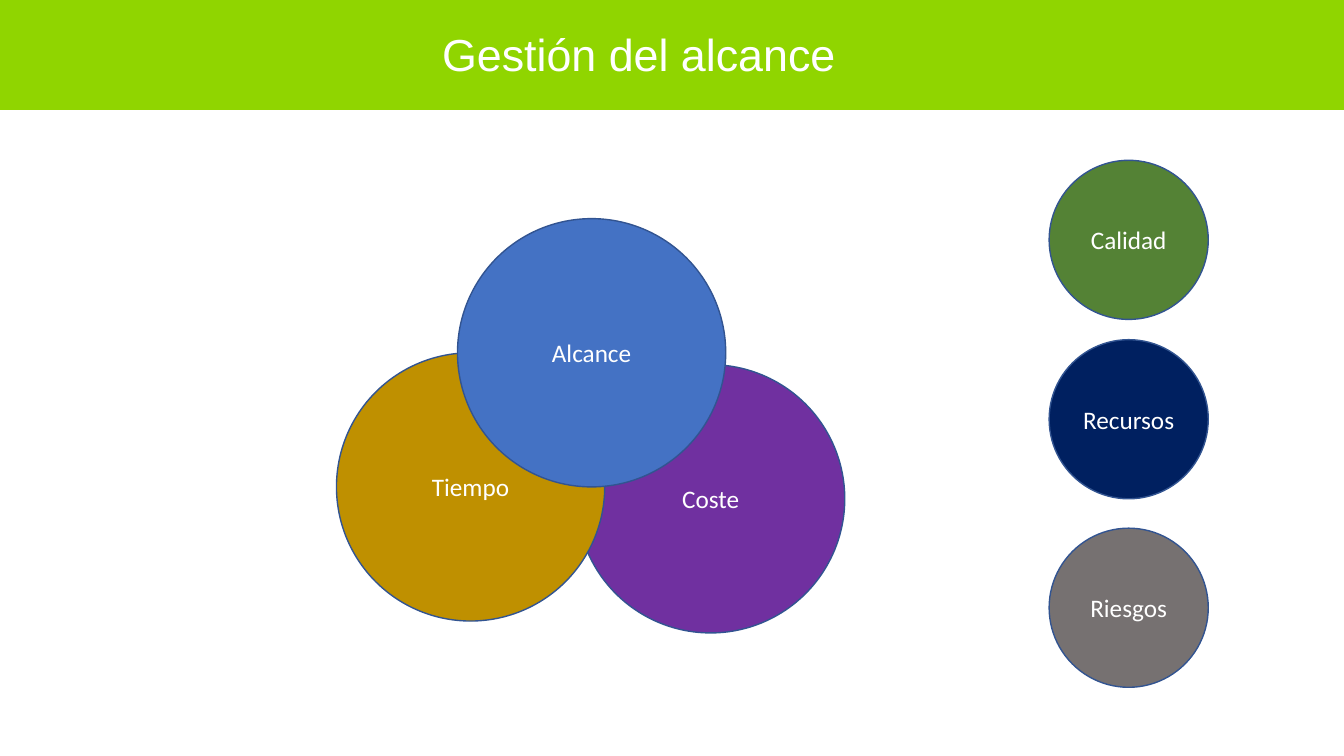
import pptx
import pptx.util
import pptx.dml.color
import pptx.enum.shapes
import pptx.enum.text

Cm = pptx.util.Cm
Pt = pptx.util.Pt
RGBColor = pptx.dml.color.RGBColor
MSO_SHAPE = pptx.enum.shapes.MSO_SHAPE
PP_ALIGN = pptx.enum.text.PP_ALIGN
MSO_ANCHOR = pptx.enum.text.MSO_ANCHOR

WHITE = RGBColor(0xFF, 0xFF, 0xFF)
LIME = RGBColor(0x90, 0xD5, 0x00)
OUTLINE = RGBColor(0x32, 0x54, 0x91)
PURPLE = RGBColor(0x70, 0x30, 0xA0)
GOLD = RGBColor(0xBF, 0x90, 0x00)
BLUE = RGBColor(0x44, 0x72, 0xC4)
GREEN = RGBColor(0x54, 0x82, 0x35)
GREY = RGBColor(0x76, 0x71, 0x71)
NAVY = RGBColor(0x00, 0x20, 0x60)

SLIDE_W, SLIDE_H = 33.87, 19.05
LARGE, SMALL = 6.76, 4.01
SIDE_LEFT = 26.44

CIRCLES = [
    ("Coste", 14.53, 9.19, LARGE, PURPLE),
    ("Tiempo", 8.48, 8.89, LARGE, GOLD),
    ("Alcance", 11.53, 5.51, LARGE, BLUE),
    ("Calidad", SIDE_LEFT, 4.04, SMALL, GREEN),
    ("Riesgos", SIDE_LEFT, 13.31, SMALL, GREY),
    ("Recursos", SIDE_LEFT, 8.56, SMALL, NAVY),
]


class Deck:
    title_font, title_size = "Arial", 32
    label_font, label_size = "Calibri", 18

    def __init__(self):
        self.prs = pptx.Presentation()
        self.prs.slide_width = Cm(SLIDE_W)
        self.prs.slide_height = Cm(SLIDE_H)
        self.s = self.prs.slides.add_slide(self.prs.slide_layouts[6])

    def shape(self, kind, x, y, w, h, fill):
        sp = self.s.shapes.add_shape(kind, Cm(x), Cm(y), Cm(w), Cm(h))
        sp.shadow.inherit = False
        sp.fill.solid()
        sp.fill.fore_color.rgb = fill
        return sp

    def text(self, sp, text, font, size, anchor):
        tf = sp.text_frame
        tf.word_wrap = True
        tf.vertical_anchor = anchor
        p = tf.paragraphs[0]
        p.alignment = PP_ALIGN.CENTER
        r = p.add_run()
        r.text = text
        r.font.name = font
        r.font.size = Pt(size)
        r.font.color.rgb = WHITE
        return p

    def band(self, height):
        sp = self.shape(MSO_SHAPE.RECTANGLE, 0, 0, SLIDE_W, height, LIME)
        sp.line.fill.background()

    def title(self, text, x, y, w, h):
        sp = self.s.shapes.add_textbox(Cm(x), Cm(y), Cm(w), Cm(h))
        p = self.text(sp, text, self.title_font, self.title_size, MSO_ANCHOR.TOP)
        p.line_spacing = 0.9

    def circle(self, text, x, y, size, fill):
        sp = self.shape(MSO_SHAPE.OVAL, x, y, size, size, fill)
        sp.line.color.rgb = OUTLINE
        sp.line.width = Pt(1)
        self.text(sp, text, self.label_font, self.label_size, MSO_ANCHOR.MIDDLE)


def main():
    deck = Deck()
    deck.band(2.77)
    deck.title("Gestión del alcance", 4.27, 0.69, 23.67, 1.88)
    for circle in CIRCLES:
        deck.circle(*circle)
    deck.prs.save("out.pptx")


if __name__ == "__main__":
    main()
